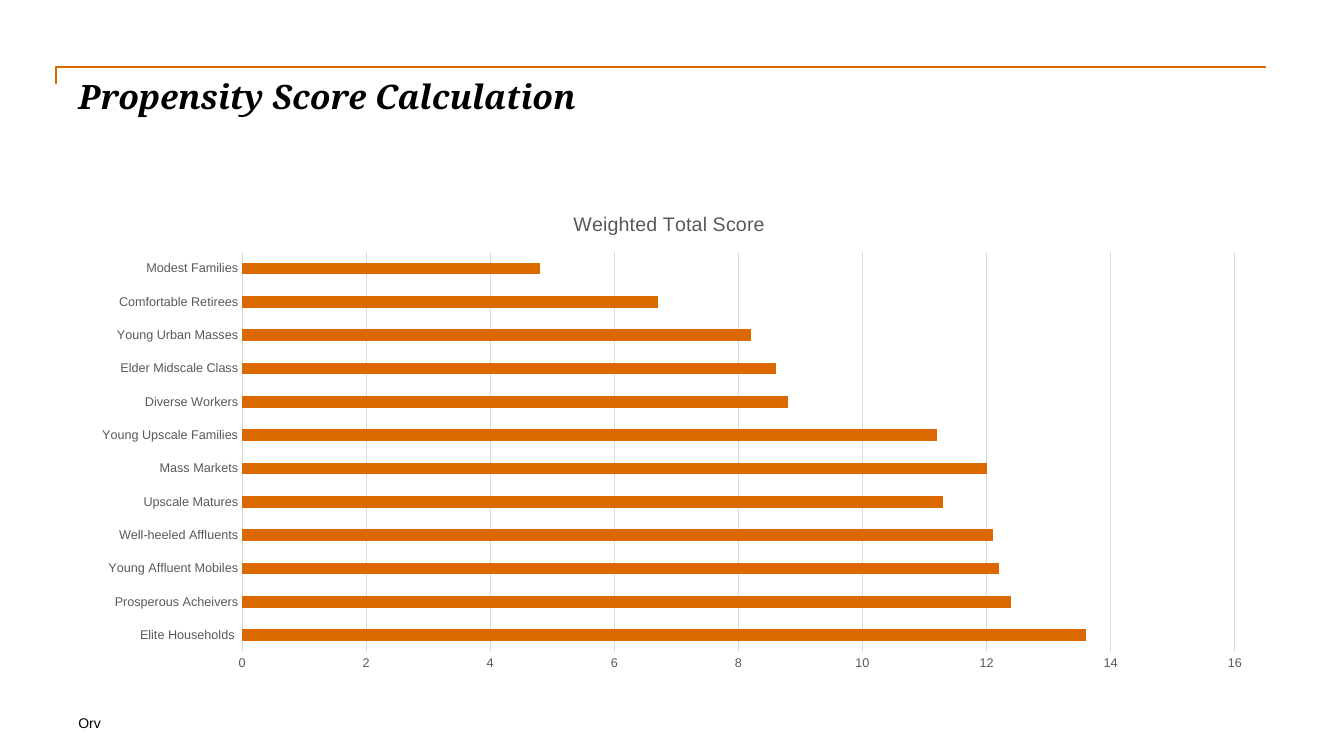
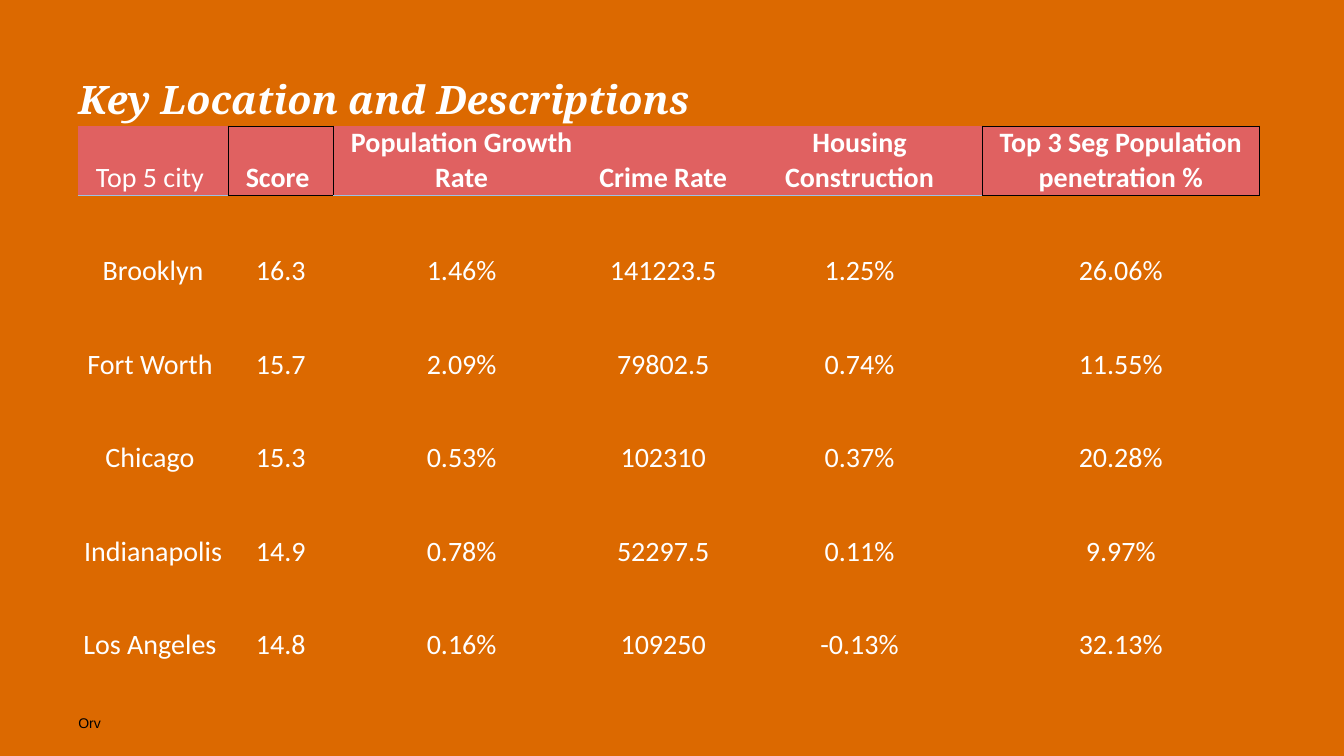
"""Build two slides: a propensity score chart and a key location table."""
from dataclasses import dataclass

from lxml.etree import SubElement
from pptx import Presentation
from pptx.chart.data import CategoryChartData as ChartData
from pptx.dml.color import RGBColor as RGB
from pptx.enum.chart import XL_CHART_TYPE as CT, XL_TICK_MARK as Tick
from pptx.enum.text import MSO_ANCHOR as Anchor, PP_ALIGN as Align
from pptx.oxml.ns import qn
from pptx.util import Inches, Pt

COLS, ROWS = 120, 90
WIDTH, HEIGHT = Inches(13.33), Inches(7.5)
LEFT, SPAN = 7, 106
NO_STYLE = "{2D5ABB26-0587-4C30-8999-92F81FD0307C}"
NO_INSETS = dict(margin_left=0, margin_right=0, margin_top=0, margin_bottom=0)


@dataclass(frozen=True)
class Theme:
    """Colours, fonts and type sizes."""
    orange: str = "DC6900"
    red: str = "E06161"
    blue: str = "9BC2E6"
    black: str = "000000"
    white: str = "FFFFFF"
    grey: str = "595959"
    rule: str = "D9D9D9"
    serif: str = "Noto Serif"
    sans: str = "Arial"
    table: str = "Calibri"
    title: int = 24
    title_large: int = 28
    cell: int = 20
    chart_title: int = 14
    footer: int = 10
    axis: int = 9


T = Theme()


def apply(obj, formats):
    """Set each attribute named in formats."""
    for name, value in formats.items():
        setattr(obj, name, value)


def set_font(font, name, size, color, **formats):
    """Set face, size, colour and further formats of a font."""
    apply(font, dict(name=name, size=Pt(size), **formats))
    font.color.rgb = RGB.from_string(color)


def set_fill(fill, color):
    """Make a fill solid in one colour."""
    fill.solid()
    fill.fore_color.rgb = RGB.from_string(color)


def set_line(line, color, width):
    """Set colour and width of a line."""
    line.color.rgb = RGB.from_string(color)
    line.width = Pt(width)


def x(cols):
    """Turn grid columns into a length."""
    return round(WIDTH * cols / COLS)


def y(rows):
    """Turn grid rows into a length."""
    return round(HEIGHT * rows / ROWS)


class Deck:
    """Hold the presentation and the current slide."""

    def __init__(self):
        self.prs = Presentation()
        apply(self.prs, dict(slide_width=WIDTH, slide_height=HEIGHT))
        self.s = None

    def slide(self, title, size, ink, ground):
        """Start a slide with its background, footer, bracket and title."""
        self.s = self.prs.slides.add_slide(self.prs.slide_layouts[6])
        set_fill(self.s.background.fill, ground)
        self.text("Orv", (LEFT, 85.1, 34, 2), T.sans, T.footer, T.black)
        self.bracket(5, 8, 113, 10)
        self.text(title, (LEFT, 9, SPAN, 12), T.serif, size, ink, bold=True, italic=True)

    def text(self, text, box, face, size, color, **formats):
        """Add a line of text in a box given in grid units."""
        left, top, width, height = box
        tf = self.s.shapes.add_textbox(x(left), y(top), x(width), y(height)).text_frame
        apply(tf, dict(word_wrap=True, **NO_INSETS))
        r = tf.paragraphs[0].add_run()
        r.text = text
        set_font(r.font, face, size, color, **formats)

    def bracket(self, left, top, right, bottom):
        """Add the open corner line above the title."""
        outline = self.s.shapes.build_freeform(x(left), y(bottom))
        outline.add_line_segments([(x(left), y(top)), (x(right), y(top))], close=False)
        sp = outline.convert_to_shape()
        sp.shadow.inherit = False
        sp.fill.background()
        set_line(sp.line, T.orange, 1)

    def bar_chart(self, name, scores, top, height):
        """Add a horizontal bar chart of named scores."""
        data = ChartData()
        data.categories = list(scores)
        data.add_series(name, list(scores.values()))
        chart = self.s.shapes.add_chart(
            CT.BAR_CLUSTERED, x(LEFT), y(top), x(SPAN), y(height), data).chart
        set_font(chart.font, T.sans, T.footer, T.black)
        apply(chart, dict(has_legend=False, has_title=True))
        p = chart.chart_title.text_frame.paragraphs[0]
        r = p.add_run()
        r.text = name
        set_font(r.font, T.sans, T.chart_title, T.grey, bold=False)
        plot = chart.plots[0]
        apply(plot, dict(gap_width=182, vary_by_categories=False))
        set_fill(plot.series[0].format.fill, T.orange)
        cats, values = chart.category_axis, chart.value_axis
        for axis in (cats, values):
            apply(axis, dict(major_tick_mark=Tick.NONE, minor_tick_mark=Tick.NONE))
            set_font(axis.tick_labels.font, T.sans, T.axis, T.grey)
        set_line(cats.format.line, T.rule, 0.75)
        apply(values, dict(minimum_scale=0, maximum_scale=16, major_unit=2))
        values.format.line.fill.background()
        set_line(values.major_gridlines.format.line, T.rule, 0.75)

    def border(self, cell, sides, color):
        """Draw the named sides of a cell in one colour."""
        tcPr = cell._tc.get_or_add_tcPr()
        for i, side in enumerate(sides):
            ln = SubElement(tcPr, qn(f"a:ln{side}"), w=str(Pt(0.5)))
            fill = SubElement(ln, qn("a:solidFill"))
            SubElement(fill, qn("a:srgbClr"), val=color)
            tcPr.insert(i, ln)

    def table(self, rows, widths, heights, top, boxed):
        """Add a table with a filled header whose boxed columns are outlined."""
        frame = self.s.shapes.add_table(
            len(rows), len(widths), x(LEFT), y(top), x(sum(widths)), y(sum(heights)))
        table = frame.table
        apply(table, dict(first_row=False, horz_banding=False))
        for style in frame._element.iter(qn("a:tableStyleId")):
            style.text = NO_STYLE
        for column, width in zip(table.columns, widths):
            column.width = x(width)
        for i, (row, height) in enumerate(zip(rows, heights)):
            table.rows[i].height = y(height)
            for j, text in enumerate(row):
                self.cell(table.cell(i, j), text, i == 0, i == 0 and j > 0)
        for j in range(len(widths)):
            sides, color = ("LRTB", T.black) if j in boxed else ("B", T.blue)
            self.border(table.cell(0, j), sides, color)

    def cell(self, cell, text, header, bold):
        """Fill one table cell and set its text."""
        apply(cell, dict(vertical_anchor=Anchor.BOTTOM, **NO_INSETS))
        if header:
            set_fill(cell.fill, T.red)
        else:
            cell.fill.background()
        p = cell.text_frame.paragraphs[0]
        p.alignment = Align.CENTER
        r = p.add_run()
        r.text = text
        set_font(r.font, T.table, T.cell, T.white, bold=bold)


SCORES = {
    "Elite Households ": 13.6,
    "Prosperous Acheivers": 12.4,
    "Young Affluent Mobiles": 12.2,
    "Well-heeled Affluents": 12.1,
    "Upscale Matures": 11.3,
    "Mass Markets": 12,
    "Young Upscale Families": 11.2,
    "Diverse Workers": 8.8,
    "Elder Midscale Class": 8.6,
    "Young Urban Masses": 8.2,
    "Comfortable Retirees": 6.7,
    "Modest Families": 4.8,
}
CITIES = [
    ("Top 5 city ", "Score ", "Population Growth Rate", "Crime Rate",
     "Housing Construction", "Top 3 Seg Population penetration %"),
    ("Brooklyn", "16.3", "1.46%", "141223.5", "1.25%", "26.06%"),
    ("Fort Worth ", "15.7", "2.09%", "79802.5", "0.74%", "11.55%"),
    ("Chicago ", "15.3", "0.53%", "102310", "0.37%", "20.28%"),
    ("Indianapolis", "14.9", "0.78%", "52297.5", "0.11%", "9.97%"),
    ("Los Angeles ", "14.8", "0.16%", "109250", "-0.13%", "32.13%"),
]

deck = Deck()
deck.slide("Propensity Score Calculation", T.title, T.black, T.white)
deck.bar_chart("Weighted Total Score ", SCORES, 23, 58)

deck.slide("Key Location and Descriptions ", T.title_large, T.white, T.orange)
deck.table(CITIES, [13.35, 9.45, 22.85, 13.15, 21.9, 24.75], [8.2] + [11.13] * 5, 15, {1, 5})

deck.prs.save("out.pptx")
